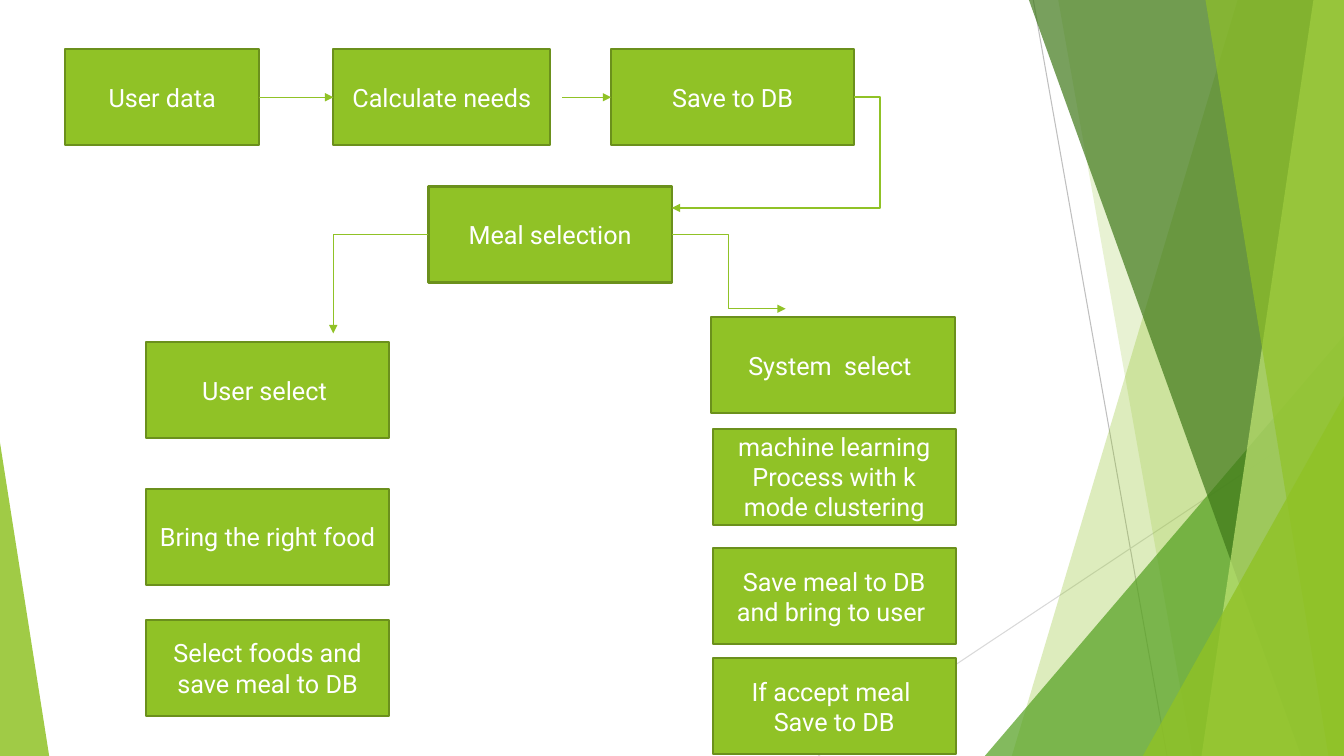
from lxml.etree import SubElement
from pptx import Presentation
from pptx.dml.color import RGBColor
from pptx.enum.shapes import MSO_CONNECTOR as LINE, MSO_SHAPE as SHAPE
from pptx.enum.text import MSO_ANCHOR, PP_ALIGN
from pptx.oxml.ns import qn
from pptx.util import Cm, Pt

GREEN = RGBColor(0x90, 0xC2, 0x26)
EDGE = RGBColor(0x6B, 0x90, 0x1C)
LEAF = RGBColor(0x54, 0xA0, 0x21)
FOREST = RGBColor(0x3F, 0x78, 0x19)
LIME = RGBColor(0xC0, 0xE4, 0x74)
SILVER = RGBColor(0xBF, 0xBF, 0xBF)
PALE = RGBColor(0xD9, 0xD9, 0xD9)
WHITE = RGBColor(0xFF, 0xFF, 0xFF)

WIDTH, HEIGHT = 33.87, 19.05
BOX_W, BOX_H = 6.13, 2.42
TOP_ROW = 1.24
TOP_MID = TOP_ROW + BOX_H / 2
USER_X, SYSTEM_X = 3.68, 17.96
MEAL_X, MEAL_Y = 10.8, 4.7
MEAL_RIGHT, MEAL_MID = MEAL_X + BOX_W, MEAL_Y + BOX_H / 2


def add_text(sp, text, size=18, color=WHITE, font="Roboto", align=PP_ALIGN.CENTER):
    """Write text into a shape, one paragraph per line."""
    tf = sp.text_frame
    tf.word_wrap = True
    tf.vertical_anchor = MSO_ANCHOR.MIDDLE
    for i, line in enumerate(text.split("\n")):
        p = tf.add_paragraph() if i else tf.paragraphs[0]
        p.alignment = align
        r = p.add_run()
        r.text = line
        r.font.size, r.font.name = Pt(size), font
        r.font.color.rgb = color


def add_box(s, text, x, y, w=BOX_W):
    """Add one step of the flow and return it."""
    sp = s.shapes.add_shape(SHAPE.RECTANGLE, Cm(x), Cm(y), Cm(w), Cm(BOX_H))
    sp.shadow.inherit = False
    sp.fill.solid()
    sp.fill.fore_color.rgb = GREEN
    sp.line.color.rgb = EDGE
    sp.line.width = Pt(1.5)
    add_text(sp, text)
    return sp


def tint(sp, color, opacity):
    """Fill a shape with a see-through colour and no outline."""
    sp.shadow.inherit = False
    sp.line.fill.background()
    sp.fill.solid()
    sp.fill.fore_color.rgb = color
    clr = sp._element.spPr.find(f"{qn('a:solidFill')}/{qn('a:srgbClr')}")
    SubElement(clr, qn("a:alpha"), val=str(opacity * 1000))


def add_band(s, top_x, bottom_x, color, opacity):
    """Add a full-height band from a slanted left edge to the slide's right."""
    fb = s.shapes.build_freeform(Cm(top_x), 0)
    fb.add_line_segments([(Cm(WIDTH), 0), (Cm(WIDTH), Cm(HEIGHT)), (Cm(bottom_x), Cm(HEIGHT))])
    tint(fb.convert_to_shape(), color, opacity)


def add_corner(s, x, y, w, apex, color, opacity):
    """Add a right triangle standing on the slide's bottom edge."""
    sp = s.shapes.add_shape(SHAPE.ISOSCELES_TRIANGLE, Cm(x), Cm(y), Cm(w), Cm(HEIGHT - y))
    sp.adjustments[0] = apex
    tint(sp, color, opacity)


def add_line(s, start, end, color=GREEN, width=1, kind=LINE.STRAIGHT, arrow=True):
    """Add a connector, with an arrowhead at its end if wanted."""
    cx = s.shapes.add_connector(kind, *(Cm(v) for v in start + end))
    cx.line.color.rgb = color
    cx.line.width = Pt(width)
    if arrow:
        SubElement(cx.line._get_or_add_ln(), qn("a:tailEnd"), type="triangle")
    SubElement(cx._element.spPr, qn("a:effectLst"))
    return cx


def add_elbow(s, start, end, preset="bentConnector3", bend=None):
    """Add a bent arrow, with its bend as a share of the width."""
    cx = add_line(s, start, end, kind=LINE.ELBOW)
    geom = cx._element.spPr.find(qn("a:prstGeom"))
    geom.set("prst", preset)
    if bend is not None:
        SubElement(geom.find(qn("a:avLst")), qn("a:gd"), name="adj1", fmla=f"val {round(bend * 100000)}")


def add_backdrop(s):
    """Draw the green facets at both sides of the slide."""
    add_line(s, (26.04, 0), (29.41, HEIGHT), SILVER, 0.75, arrow=False)
    add_line(s, (WIDTH, 10.24), (20.62, HEIGHT), PALE, 0.75, arrow=False)
    add_band(s, 31.19, 25.5, GREEN, 30)
    add_band(s, 26.67, 30.05, GREEN, 20)
    add_corner(s, 24.82, 8.46, 9.05, 1, LEAF, 72)
    add_band(s, 25.93, 32.79, FOREST, 70)
    add_band(s, 33.1, 30.28, LIME, 70)
    add_band(s, 30.38, 33.48, GREEN, 65)
    add_corner(s, 28.8, 9.98, 5.07, 1, GREEN, 80)
    add_corner(s, 0, 11.15, 1.24, 0, GREEN, 85)


def main():
    """Build the meal planning flow chart."""
    prs = Presentation()
    prs.slide_width, prs.slide_height = Cm(WIDTH), Cm(HEIGHT)
    s = prs.slides.add_slide(prs.slide_layouts[6])
    add_backdrop(s)

    data = add_box(s, "User data", 1.65, TOP_ROW, 4.88)
    needs = add_box(s, "Calculate needs", 8.4, TOP_ROW, 5.47)
    save = add_box(s, "Save to DB", 15.4, TOP_ROW)
    add_box(s, "Meal selection", MEAL_X, MEAL_Y)
    add_box(s, "System  select ", 17.93, 8)
    for text, x, y in [
        ("User select ", USER_X, 8.63),
        ("Bring the right food", USER_X, 12.32),
        ("Select foods and save meal to DB", USER_X, 15.62),
        ("machine learning\nProcess with k mode clustering", SYSTEM_X, 10.8),
        ("Save meal to DB and bring to user ", SYSTEM_X, 13.82),
        ("If accept meal \nSave to DB", SYSTEM_X, 16.59),
    ]:
        add_box(s, text, x, y)

    cx = add_line(s, (6.53, TOP_MID), (8.4, TOP_MID))
    cx.begin_connect(data, 3)
    cx.end_connect(needs, 1)
    add_line(s, (14.17, TOP_MID), (15.4, TOP_MID)).end_connect(save, 1)
    add_elbow(s, (15.4 + BOX_W, TOP_MID), (MEAL_RIGHT, 5.24), bend=-0.14)
    add_elbow(s, (MEAL_X, MEAL_MID), (8.4, 8.4), "bentConnector2")
    add_elbow(s, (MEAL_RIGHT, MEAL_MID), (19.8, 7.78))
    prs.save("out.pptx")


if __name__ == "__main__":
    main()
